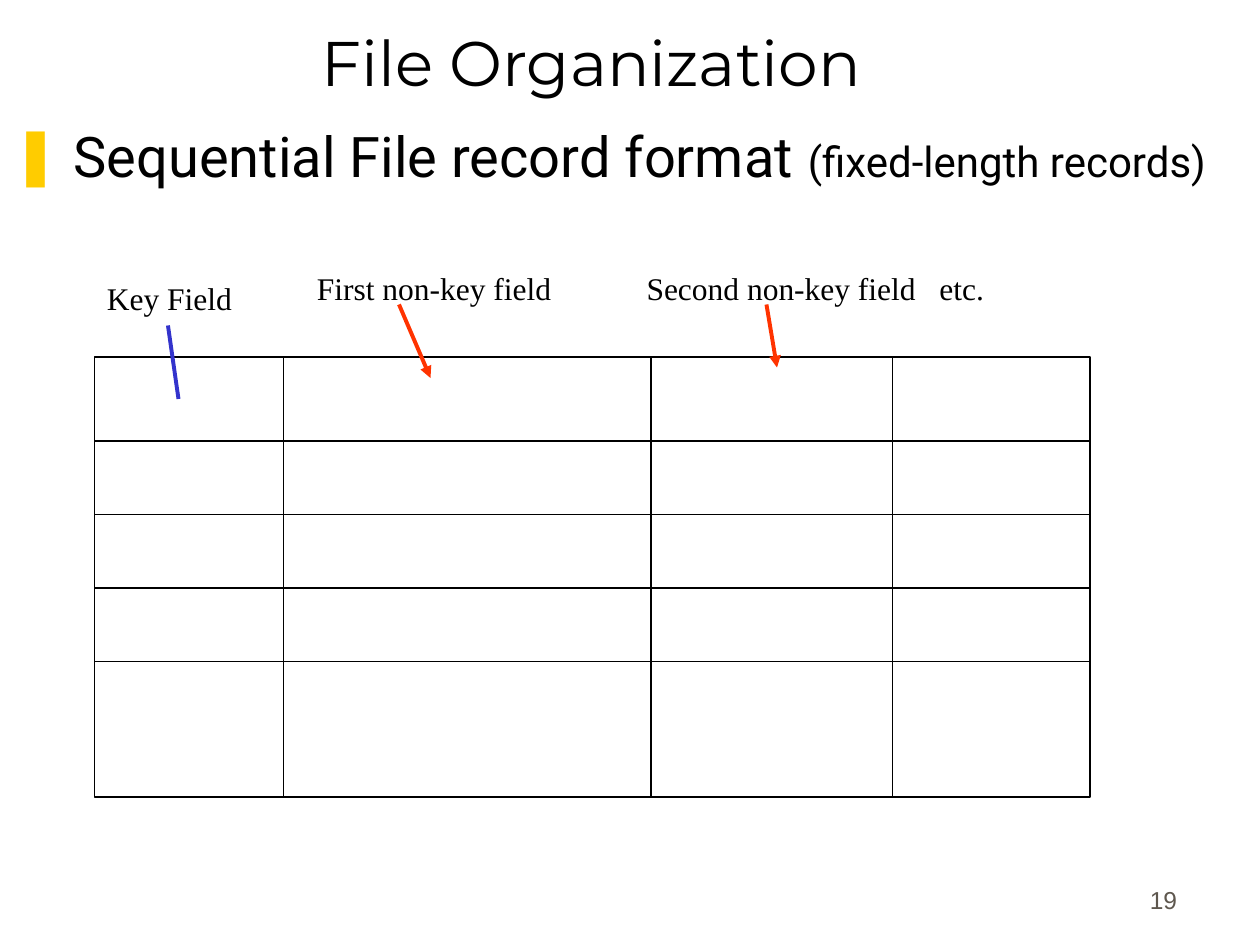
"""Build the File Organization slide on a grid of 120 columns by 90 rows."""
import pptx
import pptx.dml.color
import pptx.enum.shapes
import pptx.enum.text
import pptx.oxml.ns
import pptx.util
from lxml import etree

THEME = {
    "ink": "000000", "bullet": "FFCC00", "arrow": "FF3300", "key": "3333CC", "number": "5E574E",
    "title_font": "Montserrat", "body_font": "Roboto", "label_font": "Times New Roman", "number_font": "Arial",
    "title": 36, "body": 32, "note": 24, "label": 18, "page": 14, "rule": 1, "pointer": 2.25,
}
ALIGN = pptx.enum.text.PP_ALIGN
ANCHOR = pptx.enum.text.MSO_ANCHOR

prs = pptx.Presentation()
prs.slide_width = pptx.util.Inches(10)
prs.slide_height = pptx.util.Inches(7.5)
UNIT = prs.slide_width / 120
s = prs.slides.add_slide(prs.slide_layouts[1])


def add_text(runs, box, font, color="ink", align=ALIGN.LEFT, anchor=ANCHOR.TOP, holder=None, bullet=None, indent=0, tabs=()):
    left, top, width, height = [round(v * UNIT) for v in box]
    sp = holder or s.shapes.add_textbox(left, top, width, height)
    sp.left, sp.top, sp.width, sp.height = left, top, width, height
    tf = sp.text_frame
    tf.word_wrap = True
    tf.auto_size = pptx.enum.text.MSO_AUTO_SIZE.NONE
    tf.vertical_anchor = anchor
    p = tf.paragraphs[0]
    p.alignment = align
    p.space_before = pptx.util.Pt(0)
    pPr = p._p.get_or_add_pPr()
    qn = pptx.oxml.ns.qn
    if bullet:
        pPr.set("marL", str(round(indent * UNIT)))
        pPr.set("indent", str(round(-indent * UNIT)))
        clr = etree.SubElement(pPr, qn("a:buClr"))
        etree.SubElement(clr, qn("a:srgbClr"), val=THEME["bullet"])
        etree.SubElement(pPr, qn("a:buChar"), char=bullet)
    if tabs:
        stops = etree.SubElement(pPr, qn("a:tabLst"))
        for tab in tabs:
            etree.SubElement(stops, qn("a:tab"), pos=str(round(tab * UNIT)), algn="l")
    for text, size in runs:
        r = p.add_run()
        r.text = text
        r.font.name = THEME[font]
        r.font.size = pptx.util.Pt(THEME[size])
        r.font.color.rgb = pptx.dml.color.RGBColor.from_string(THEME[color])


def add_line(x1, y1, x2, y2, color="ink", width="rule", arrow=False):
    ends = [round(v * UNIT) for v in (x1, y1, x2, y2)]
    line = s.shapes.add_connector(pptx.enum.shapes.MSO_CONNECTOR.STRAIGHT, *ends)
    line.line.color.rgb = pptx.dml.color.RGBColor.from_string(THEME[color])
    line.line.width = pptx.util.Pt(THEME[width])
    if arrow:
        etree.SubElement(line.line._get_or_add_ln(), pptx.oxml.ns.qn("a:tailEnd"), type="triangle")
    etree.SubElement(line._element.spPr, pptx.oxml.ns.qn("a:effectLst"))


add_text([("File Organization", "title")], (5.3, 3, 102, 7), "title_font",
         align=ALIGN.CENTER, anchor=ANCHOR.BOTTOM, holder=s.shapes.title)
add_text([("Sequential File record format ", "body"), ("(fixed-length records)", "note")],
         (0, 11, 120, 68.5), "body_font", holder=s.placeholders[1], bullet="❚", indent=5.8)
add_text([("Key Field", "label")], (9, 26, 14.3, 4.8), "label_font")

left, top, right, bottom = 9, 34, 103.8, 75.9
frame = s.shapes.add_shape(pptx.enum.shapes.MSO_SHAPE.RECTANGLE,
                           *[round(v * UNIT) for v in (left, top, right - left, bottom - top)])
frame.shadow.inherit = False
frame.fill.background()
frame.line.color.rgb = pptx.dml.color.RGBColor.from_string(THEME["ink"])
frame.line.width = pptx.util.Pt(THEME["rule"])
for column in (27, 62, 85):
    add_line(column, top, column, bottom)
for row in range(42, 64, 7):
    add_line(left, row, right, row)

add_text([("First non-key field\tSecond non-key field\tetc.", "label")], (29, 25, 73, 4.8),
         "label_font", tabs=(31.4, 59.3))
add_line(38, 29, 41, 36, "arrow", "pointer", arrow=True)
add_line(73, 29, 74, 35, "arrow", "pointer", arrow=True)
add_line(16, 31, 17, 38, "key", "pointer")
add_text([("19", "page")], (88.3, 81.7, 25, 6), "number_font", "number",
         align=ALIGN.RIGHT, anchor=ANCHOR.BOTTOM)

prs.save("out.pptx")
